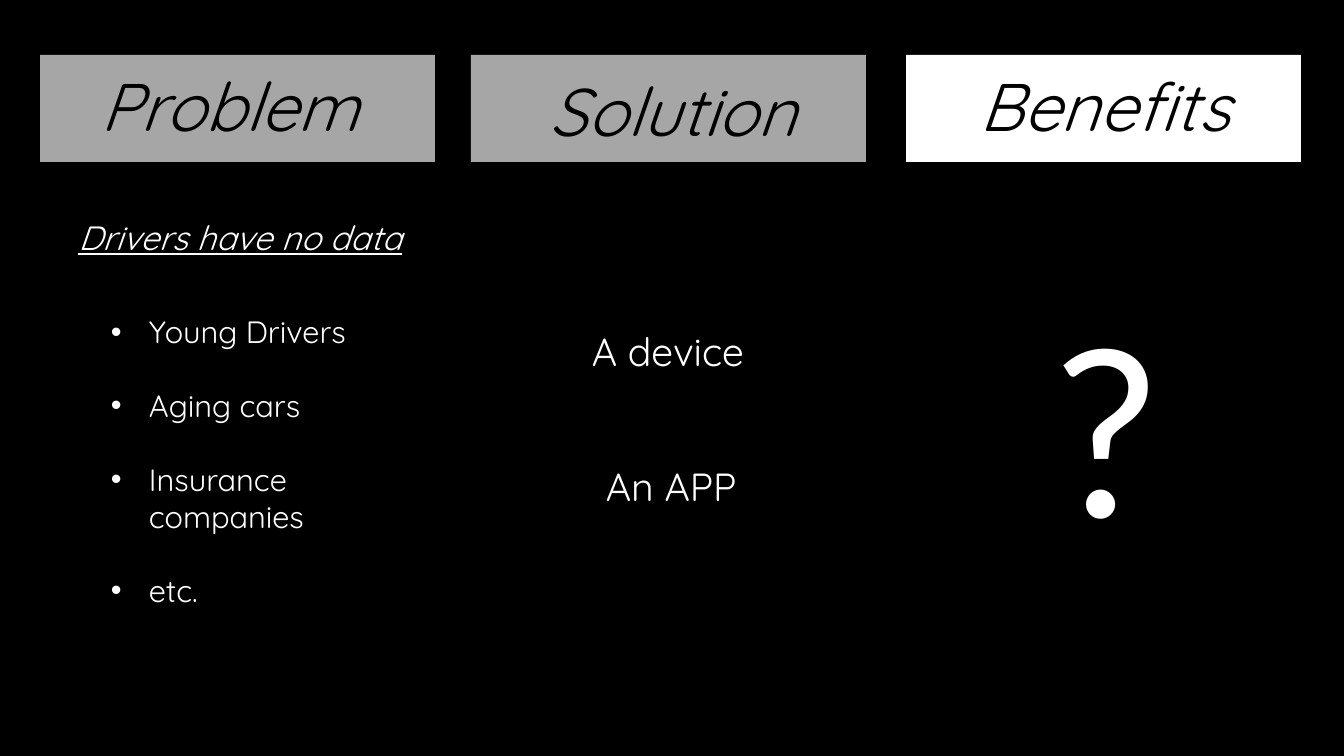
from dataclasses import dataclass

from lxml.etree import SubElement
from pptx import Presentation
from pptx.dml.color import RGBColor
from pptx.enum.shapes import MSO_SHAPE
from pptx.enum.text import MSO_AUTO_SIZE, PP_ALIGN
from pptx.oxml.ns import qn
from pptx.shapes.autoshape import Shape
from pptx.util import Emu, Pt

PX_PER_INCH = 100.8


@dataclass(frozen=True)
class Theme:
    black: RGBColor = RGBColor(0x00, 0x00, 0x00)
    white: RGBColor = RGBColor(0xFF, 0xFF, 0xFF)
    grey: RGBColor = RGBColor(0xA6, 0xA6, 0xA6)
    font: str = "Quicksand"
    symbol_font: str = "Lato"
    header_size: int = 48
    subtitle_size: int = 24
    answer_size: int = 28
    bullet_size: int = 22
    bullet_gap: float = 26.4
    symbol_size: int = 166


THEME = Theme()


@dataclass(frozen=True)
class Box:
    left: int
    top: int
    width: int
    height: int

    def emu(self) -> tuple[Emu, ...]:
        return tuple(px(value) for value in (self.left, self.top, self.width, self.height))


@dataclass(frozen=True)
class Label:
    lines: tuple[str, ...]
    box: Box
    size: int
    color: RGBColor = THEME.white
    font: str = THEME.font
    centered: bool = False
    italic: bool = False
    underline: bool = False
    bulleted: bool = False


@dataclass(frozen=True)
class Header:
    text: str
    left: int
    fill: RGBColor
    label_left: int
    label_top: int


HEADERS = (
    Header("Problem ", 40, THEME.grey, 74, 59),
    Header("Solution", 471, THEME.grey, 508, 64),
    Header("Benefits", 906, THEME.white, 940, 59),
)

LABELS = (
    Label(("Young Drivers", "Aging cars", "Insurance companies", "etc."),
          Box(101, 308, 345, 308), THEME.bullet_size, bulleted=True),
    Label(("Drivers have no data",), Box(55, 212, 370, 50), THEME.subtitle_size,
          centered=True, italic=True, underline=True),
    Label(("A device",), Box(582, 322, 206, 57), THEME.answer_size),
    Label(("An APP",), Box(596, 457, 206, 57), THEME.answer_size),
    Label(("?",), Box(1045, 280, 206, 291), THEME.symbol_size, font=THEME.symbol_font),
)


def px(value: int) -> Emu:
    return Emu(round(value * 914400 / PX_PER_INCH))


def add_bullet(paragraph) -> None:
    properties = paragraph._p.get_or_add_pPr()
    indent = px(38)
    properties.set("marL", str(indent))
    properties.set("indent", str(-indent))
    SubElement(properties, qn("a:buFont"), typeface="Arial")
    SubElement(properties, qn("a:buChar"), char="•")


def add_label(shapes, label: Label) -> Shape:
    text_box = shapes.add_textbox(*label.box.emu())
    frame = text_box.text_frame
    frame.word_wrap = True
    frame.text = "\n".join(label.lines)
    frame.auto_size = MSO_AUTO_SIZE.SHAPE_TO_FIT_TEXT
    for index, paragraph in enumerate(frame.paragraphs):
        paragraph.alignment = PP_ALIGN.CENTER if label.centered else PP_ALIGN.LEFT
        if index:
            paragraph.space_before = Pt(THEME.bullet_gap)
        if label.bulleted:
            add_bullet(paragraph)
        for run in paragraph.runs:
            run.font.name = label.font
            run.font.size = Pt(label.size)
            run.font.color.rgb = label.color
            run.font.italic = label.italic
            run.font.underline = label.underline
    return text_box


def add_header(shapes, header: Header) -> None:
    """Group a filled bar with its italic title."""
    group = shapes.add_group_shape()
    bar = group.shapes.add_shape(MSO_SHAPE.RECTANGLE, *Box(header.left, 55, 395, 107).emu())
    bar.shadow.inherit = False
    bar.fill.solid()
    bar.fill.fore_color.rgb = header.fill
    bar.line.fill.background()
    title_box = Box(header.label_left, header.label_top, 330, 92)
    add_label(group.shapes, Label((header.text,), title_box, THEME.header_size,
                                  THEME.black, centered=True, italic=True))


def main() -> None:
    presentation = Presentation()
    presentation.slide_width, presentation.slide_height = px(1344), px(756)
    slide = presentation.slides.add_slide(presentation.slide_layouts[6])
    slide.background.fill.solid()
    slide.background.fill.fore_color.rgb = THEME.black
    for header in HEADERS:
        add_header(slide.shapes, header)
    for label in LABELS:
        add_label(slide.shapes, label)
    presentation.save("out.pptx")


if __name__ == "__main__":
    main()
